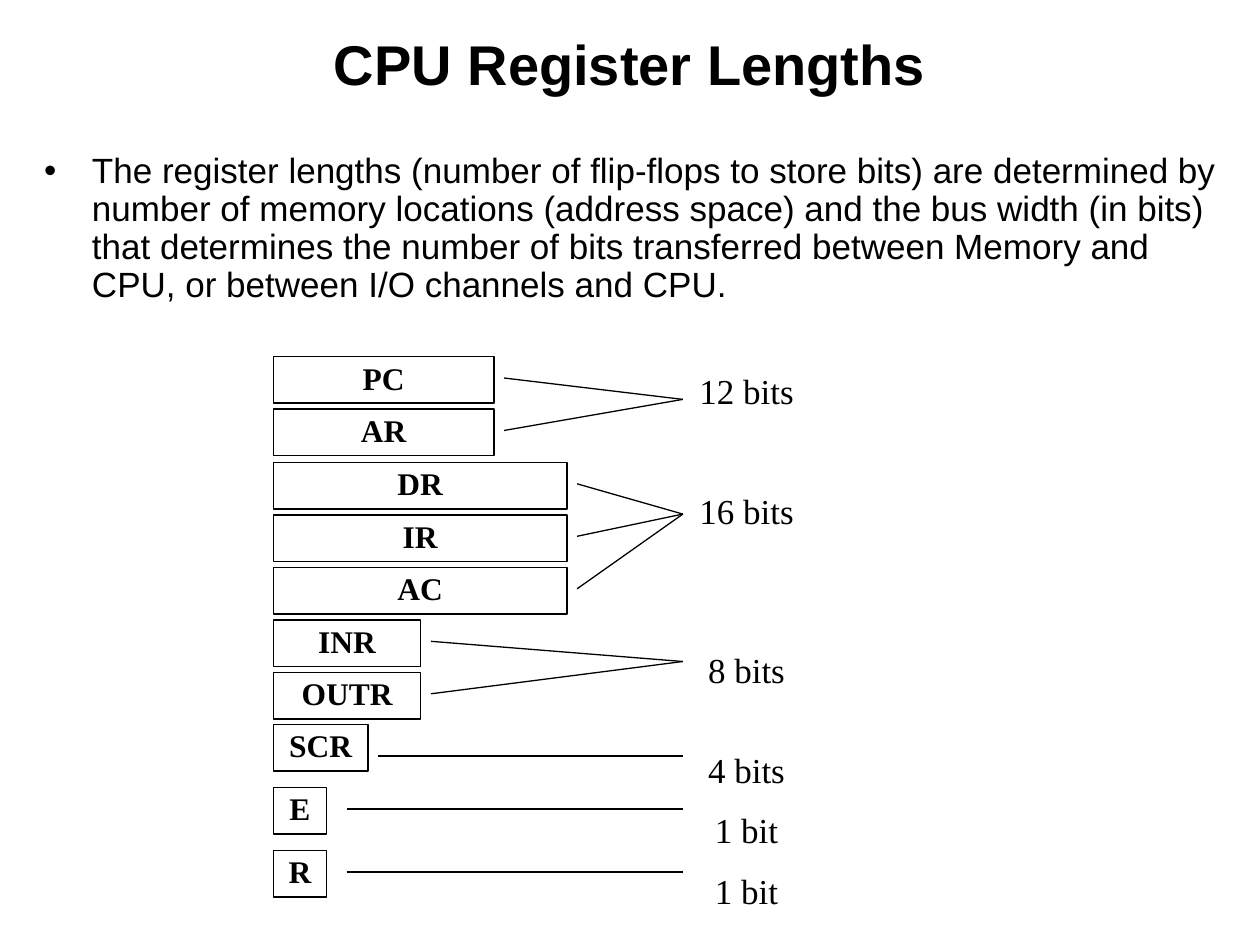
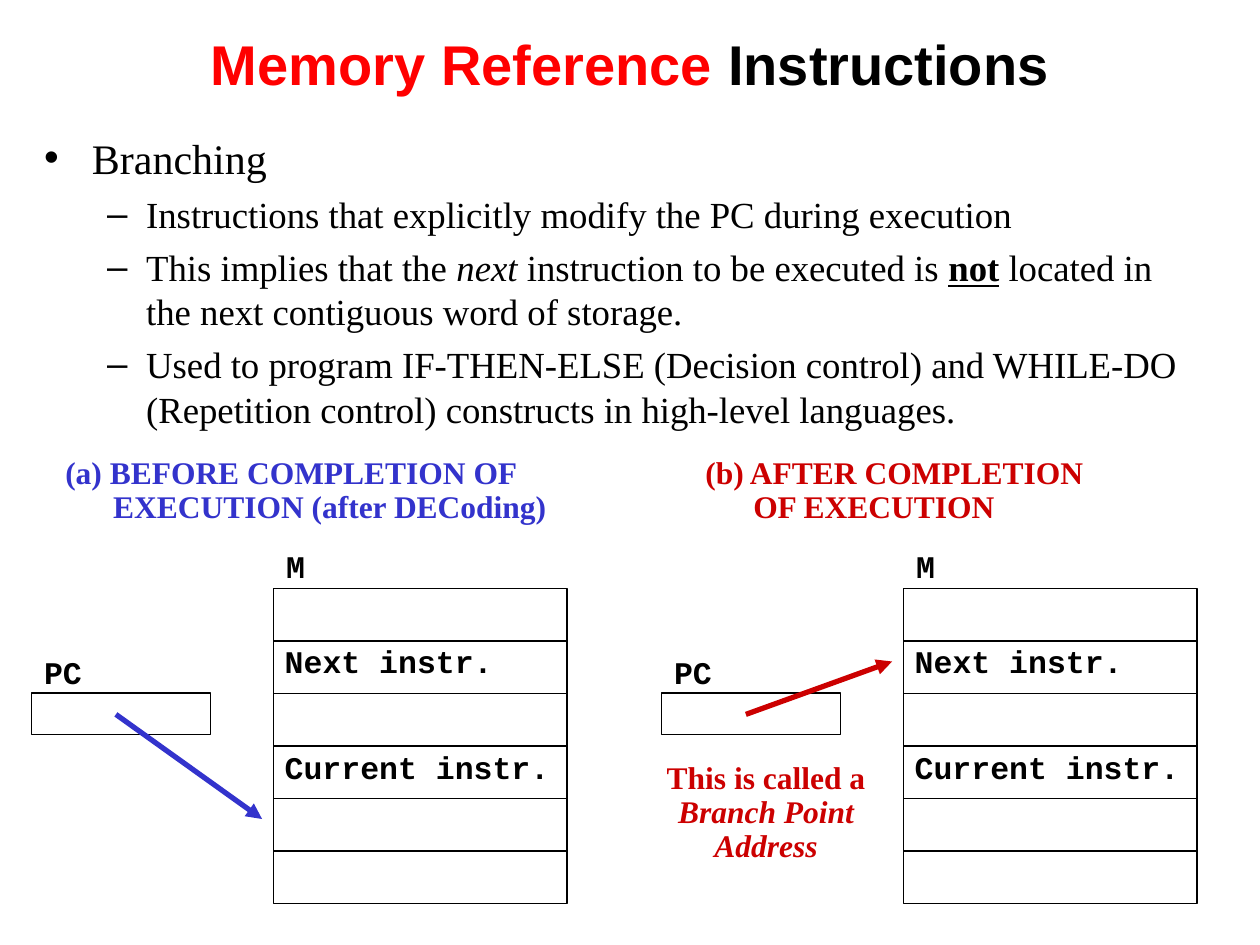
import pptx
import pptx.util
import pptx.dml.color
import pptx.enum.shapes
import pptx.enum.text
import pptx.oxml
import pptx.oxml.ns

Inches = pptx.util.Inches
Pt = pptx.util.Pt
hex_colour = pptx.dml.color.RGBColor.from_string
RECTANGLE = pptx.enum.shapes.MSO_SHAPE.RECTANGLE
STRAIGHT = pptx.enum.shapes.MSO_CONNECTOR.STRAIGHT
ANCHOR = pptx.enum.text.MSO_ANCHOR
CENTER = pptx.enum.text.PP_ALIGN.CENTER
NO_AUTOFIT = pptx.enum.text.MSO_AUTO_SIZE.NONE
BLACK, WHITE, RED = "000000", "FFFFFF", "FF0000"
BEFORE_BLUE, AFTER_RED = "3333CC", "CC0000"
SANS, SERIF, MONO = "Arial", "Times New Roman", "Courier New"


def write(paragraph, text, size, face, colour=BLACK, style=""):
    run = paragraph.add_run()
    run.text = text
    run.font.name = face
    run.font.size = Pt(size)
    run.font.color.rgb = hex_colour(colour)
    run.font.bold = "b" in style
    run.font.italic = "i" in style
    run.font.underline = "u" in style


def draw_line(shapes, start, end, colour=BLACK, width=0.75):
    line = shapes.add_connector(STRAIGHT, *[Inches(v) for v in (*start, *end)])
    line.line.color.rgb = hex_colour(colour)
    line.line.width = Pt(width)
    line._element.spPr.append(pptx.oxml.parse_xml(
        f'<a:effectLst {pptx.oxml.ns.nsdecls("a")}/>'))
    return line


deck = pptx.Presentation()
deck.slide_width, deck.slide_height = Inches(10), Inches(7.5)

register_text = (
    "The register lengths (number of flip-flops to store bits) are determined by "
    "number of memory locations (address space) and the bus width (in bits) that "
    "determines the number of bits transferred between Memory and CPU, or between "
    "I/O channels and CPU.")
branching_points = [
    (0, 24, [("Branching", "")]),
    (1, 21, [("Instructions that explicitly modify the PC during execution", "")]),
    (1, 21, [("This implies that the ", ""), ("next", "i"),
             (" instruction to be executed is ", ""), ("not", "bu"),
             (" located in the next contiguous word of storage.", "")]),
    (1, 21, [("Used to program IF-THEN-ELSE (Decision control) and WHILE-DO "
              "(Repetition control) constructs in high-level languages.", "")]),
]
pages = [
    ([("CPU Register Lengths", BLACK)], (0.25, 1.17, 9.57, 1.42), SANS, 0.9,
     [(0, 20, [(register_text, "")])]),
    ([("Memory Reference ", RED), ("Instructions", BLACK)], (0.25, 1, 9.42, 2.5),
     SERIF, 1, branching_points),
]
level_indents = [(0.38, -0.38), (0.81, -0.31)]

for title_runs, body_box, face, spacing, points in pages:
    slide = deck.slides.add_slide(deck.slide_layouts[1])
    title, body = slide.shapes.title, slide.placeholders[1]
    for holder, box in ((title, (0, 0, 10, 1)), (body, body_box)):
        holder.left, holder.top, holder.width, holder.height = [Inches(v) for v in box]
        holder.text_frame.auto_size = NO_AUTOFIT
        holder.text_frame.word_wrap = True
    title.text_frame.vertical_anchor = ANCHOR.MIDDLE
    heading = title.text_frame.paragraphs[0]
    heading.alignment = CENTER
    for text, colour in title_runs:
        write(heading, text, 32, SANS, colour, "b")
    for index, (level, size, runs) in enumerate(points):
        point = body.text_frame.add_paragraph() if index else body.text_frame.paragraphs[0]
        point.level = level
        margin, hanging = level_indents[level]
        properties = point._p.get_or_add_pPr()
        properties.set("marL", str(Inches(margin)))
        properties.set("indent", str(Inches(hanging)))
        point.line_spacing = spacing
        point.space_before = Pt(5.2 if index else 0)
        for text, style in runs:
            write(point, text, size, face, BLACK, style)

lengths_slide, branching_slide = deck.slides

register_left, bits_x, row_pitch = 2.17, 5.42, 5 / 12
register_groups = [
    (["PC", "AR"], 2.83, 1.75, 0.08, 0.17, 3.17, "12 bits", 0),
    (["DR", "IR", "AC"], 3.67, 2.33, 0.08, 0.17, 4.08, "16 bits", 47.3),
    (["INR", "OUTR"], 4.92, 1.17, 0.08, 0.17, 5.25, "8 bits", 69),
    (["SCR"], 5.75, 0.75, 0.08, 0.25, 6, "4 bits", 35.3),
    (["E"], 6.25, 0.42, 0.16, 0.17, 6.42, "1 bit", 13),
    (["R"], 6.75, 0.42, 0.16, 0.17, 6.92, "1 bit", 13),
]
bit_counts = lengths_slide.shapes.add_textbox(
    Inches(5.39), Inches(2.92), Inches(1.07), Inches(4.32)).text_frame
bit_counts.word_wrap = False
for names, first_top, width, gap, line_drop, bits_y, bits, space in register_groups:
    for row, name in enumerate(names):
        top = first_top + row * row_pitch
        register = lengths_slide.shapes.add_shape(
            RECTANGLE, Inches(register_left), Inches(top), Inches(width), Inches(0.37))
        register.shadow.inherit = False
        register.fill.solid()
        register.fill.fore_color.rgb = hex_colour(WHITE)
        register.line.color.rgb = hex_colour(BLACK)
        register.line.width = Pt(0.75)
        register.text_frame.vertical_anchor = ANCHOR.MIDDLE
        register_name = register.text_frame.paragraphs[0]
        register_name.alignment = CENTER
        register_name.line_spacing = 0.9
        write(register_name, name, 18, SERIF, BLACK, "b")
        draw_line(lengths_slide.shapes,
                  (register_left + width + gap, top + line_drop), (bits_x, bits_y))
    count = bit_counts.add_paragraph() if space else bit_counts.paragraphs[0]
    count.alignment = CENTER
    count.line_spacing = 0.9
    count.space_before = Pt(space)
    write(count, bits, 20, SERIF)

memory_labels = [
    ("PC", 0.25, 5.17, 0.5),
    ("M", 2.17, 4.33, 0.35),
    ("Current instr.", 2.16, 5.92, 2.3),
    ("Next instr.", 2.16, 5.08, 1.85),
]
stages = [
    (0, BEFORE_BLUE, ["(a) BEFORE COMPLETION OF", "EXECUTION (after DECoding)"],
     0.42, 4.67, 6.5),
    (5, AFTER_RED, ["(b) AFTER COMPLETION", "OF EXECUTION"], 5.5, 3.42, 5.25),
]
for offset, colour, caption_lines, caption_left, caption_width, target_y in stages:
    stage = branching_slide.shapes.add_group_shape().shapes
    for left, top, width, height in ((0.25, 5.5, 1.42, 0.33), (2.17, 4.67, 2.33, 2.5)):
        memory = stage.add_shape(RECTANGLE, Inches(offset + left), Inches(top),
                                 Inches(width), Inches(height))
        memory.shadow.inherit = False
        memory.fill.background()
        memory.line.color.rgb = hex_colour(BLACK)
        memory.line.width = Pt(0.75)
    for row in range(1, 6):
        y = 4.67 + row * row_pitch
        divider = draw_line(stage, (offset + 2.17, y), (offset + 4.5, y))
        if row == 3:
            divider.begin_connect(memory, 1)
            divider.end_connect(memory, 3)
    for text, left, top, width in memory_labels:
        label = stage.add_textbox(Inches(offset + left), Inches(top),
                                  Inches(width), Inches(0.37)).text_frame
        label.word_wrap = False
        label.paragraphs[0].alignment = CENTER
        label.paragraphs[0].line_spacing = 0.9
        write(label.paragraphs[0], text, 18, MONO, BLACK, "b")
    caption_frame = stage.add_textbox(Inches(caption_left), Inches(3.58),
                                      Inches(caption_width), Inches(0.64)).text_frame
    caption_frame.word_wrap = True
    caption = caption_frame.paragraphs[0]
    caption.line_spacing = 0.9
    properties = caption._p.get_or_add_pPr()
    properties.set("marL", str(Inches(0.38)))
    properties.set("indent", str(Inches(-0.38)))
    write(caption, caption_lines[0], 18, SERIF, colour, "b")
    caption.add_line_break()
    write(caption, caption_lines[1], 18, SERIF, colour, "b")
    pointer = draw_line(stage, (offset + 0.92, 5.67), (offset + 2.08, target_y), colour, 3)
    pointer.line._get_or_add_ln().append(pptx.oxml.parse_xml(
        f'<a:tailEnd {pptx.oxml.ns.nsdecls("a")} type="triangle"/>'))

branch_note = branching_slide.shapes.add_textbox(
    Inches(5.08), Inches(6), Inches(2), Inches(0.91)).text_frame
branch_note.word_wrap = True
branch_note.paragraphs[0].alignment = CENTER
branch_note.paragraphs[0].line_spacing = 0.9
write(branch_note.paragraphs[0], "This is called a ", 18, SERIF, AFTER_RED, "b")
write(branch_note.paragraphs[0], "Branch Point Address", 18, SERIF, AFTER_RED, "bi")

deck.save("out.pptx")
